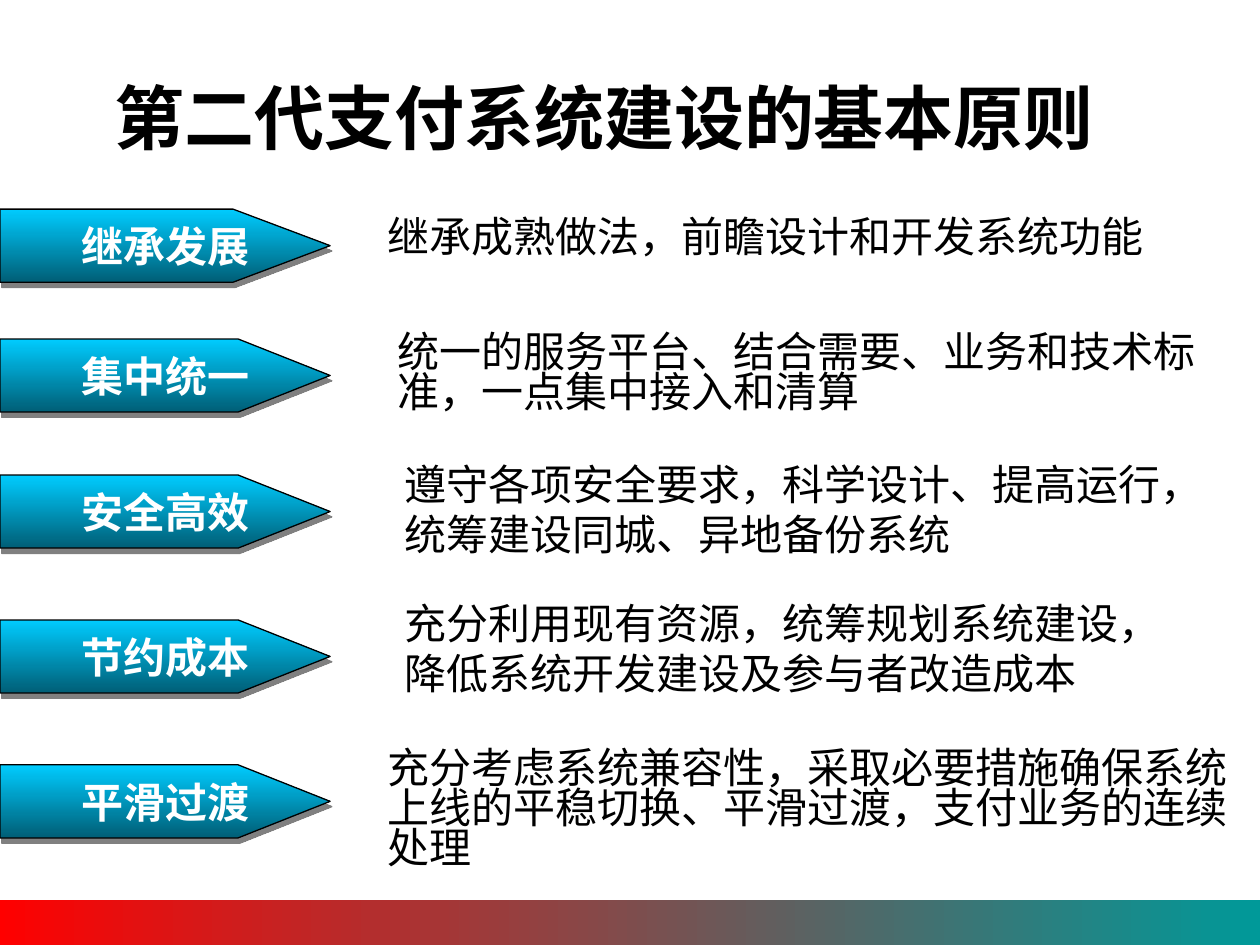
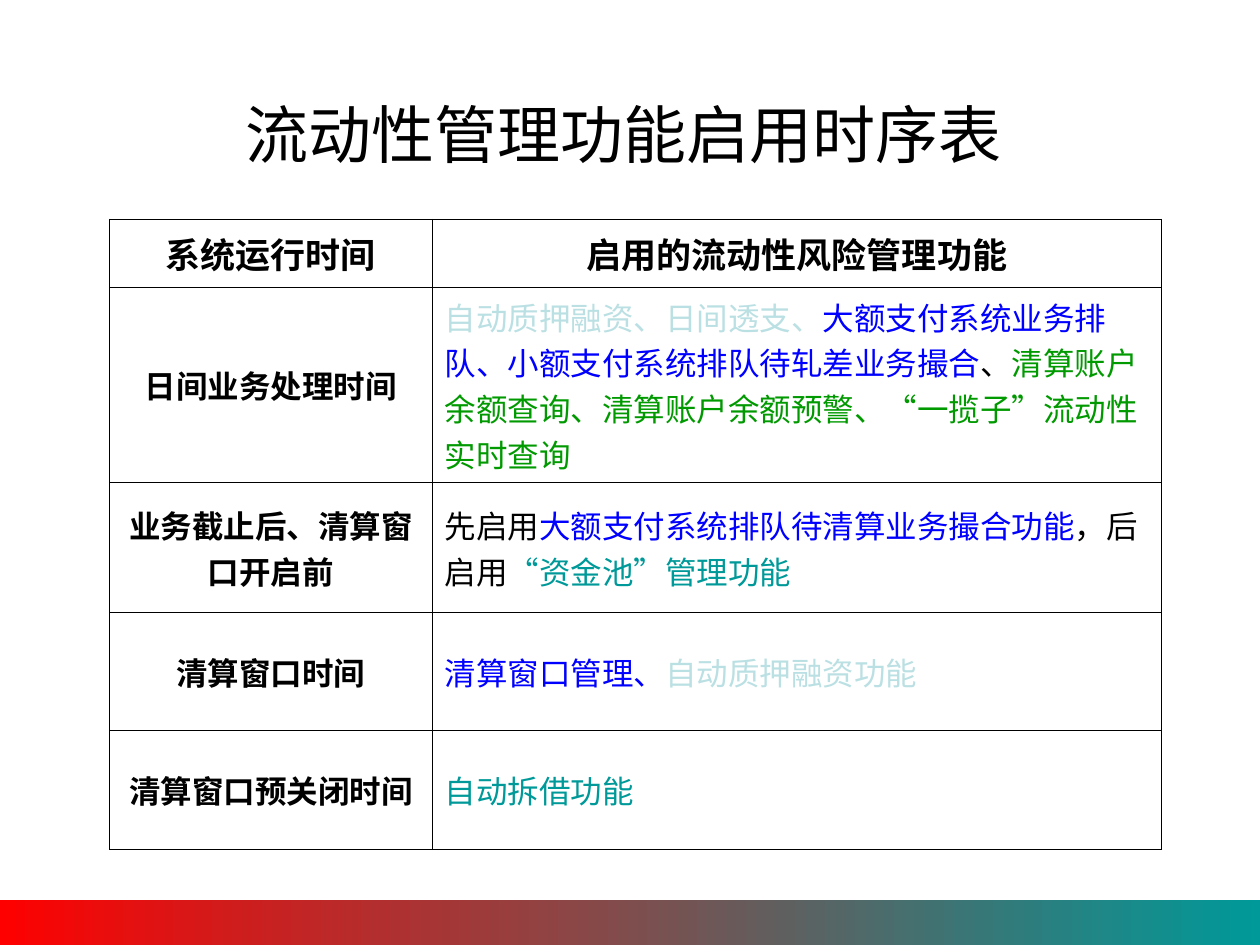
from dataclasses import dataclass

from lxml.etree import SubElement
from pptx import Presentation
from pptx.dml.color import RGBColor
from pptx.enum.shapes import MSO_SHAPE
from pptx.enum.text import MSO_ANCHOR, MSO_AUTO_SIZE, PP_ALIGN
from pptx.oxml import parse_xml
from pptx.oxml.ns import nsdecls, qn
from pptx.util import Inches, Pt

BLACK = RGBColor(0x00, 0x00, 0x00)
WHITE = RGBColor(0xFF, 0xFF, 0xFF)
RED = RGBColor(0xFF, 0x00, 0x00)
TEAL = RGBColor(0x00, 0x99, 0x99)
SKY = RGBColor(0x00, 0xCC, 0xFF)
DEEP_SEA = RGBColor(0x00, 0x5E, 0x76)
PALE_BLUE = RGBColor(0xBB, 0xE0, 0xE3)
SHADOW_GRAY = RGBColor(0x80, 0x80, 0x80)
BLUE = RGBColor(0x00, 0x00, 0xFF)
GREEN = RGBColor(0x00, 0x99, 0x00)

SANS, CJK, SERIF = "Arial", "Noto Sans CJK SC", "Times New Roman"
ARROW_TIP, ARROW_HEIGHT = 2.62, 0.58
COLUMNS = [2.56, 5.79]
ROW_HEIGHTS = [0.54, 1.55, 1.03, 0.94, 0.94]


@dataclass(frozen=True)
class Style:
    """Character format of a run."""
    size: float
    latin: str = CJK
    east_asian: str = CJK
    bold: bool = False
    color: RGBColor = BLACK


@dataclass(frozen=True)
class Box:
    """Place of an element in inches."""
    left: float
    top: float
    width: float
    height: float

    def lengths(self) -> list:
        """Return the four lengths for a shape call."""
        return [Inches(v) for v in (self.left, self.top, self.width, self.height)]


@dataclass(frozen=True)
class Principle:
    """A labelled arrow and its explanation."""
    label: str
    arrow_top: float
    text: str
    box: Box
    spacing: dict
    shoulder: float = 1.89
    wrap: bool = True


BODY = Style(24, SERIF, SANS)
LABEL = Style(24, bold=True, color=WHITE)
HEADER = Style(20, bold=True)
PERIOD = Style(18, bold=True)

LOOSE = {"space_before": Pt(15)}
EVEN = {"space_before": Pt(6), "space_after": Pt(6)}
TIGHT = {**EVEN, "line_spacing": 0.8}

PRINCIPLES = [
    Principle("继承发展", 1.66, "继承成熟做法，前瞻设计和开发系统功能",
              Box(2.98, 1.62, 6.2, 0.5), LOOSE, 1.85, False),
    Principle("集中统一", 2.69, "统一的服务平台、结合需要、业务和技术标准，一点集中接入和清算",
              Box(3.06, 2.61, 6.81, 0.74), TIGHT),
    Principle("安全高效", 3.77, "遵守各项安全要求，科学设计、提高运行，统筹建设同城、异地备份系统",
              Box(3.11, 3.59, 6.69, 0.9), EVEN),
    Principle("节约成本", 4.92, "充分利用现有资源，统筹规划系统建设，降低系统开发建设及参与者改造成本",
              Box(3.11, 4.69, 6.46, 0.9), LOOSE),
    Principle("平滑过渡", 6.07,
              "充分考虑系统兼容性，采取必要措施确保系统上线的平稳切换、平滑过渡，支付业务的连续处理",
              Box(2.98, 5.91, 7.02, 1.06), TIGHT),
]

HEADINGS = ["系统运行时间", "启用的流动性风险管理功能"]
SCHEDULE = [
    ("日间业务处理时间", [
        ("自动质押融资、日间透支、", PALE_BLUE),
        ("大额支付系统业务排队、小额支付系统排队待轧差业务撮合", BLUE),
        ("、", BLACK),
        ("清算账户余额查询、清算账户余额预警、", GREEN),
        ("“", GREEN), ("一揽子", GREEN), ("”", GREEN),
        ("流动性实时查询", GREEN)]),
    ("业务截止后、清算窗口开启前", [
        ("先启用", BLACK),
        ("大额支付系统排队待清算业务撮合功能", BLUE),
        ("，后启用", BLACK),
        ("“", TEAL), ("资金池", TEAL), ("”", TEAL),
        ("管理功能", TEAL)]),
    ("清算窗口时间", [("清算窗口管理、", BLUE), ("自动质押融资功能", PALE_BLUE)]),
    ("清算窗口预关闭时间", [("自动拆借功能", TEAL)]),
]


def apply(target, values: dict) -> None:
    """Set every attribute named in values."""
    for name, value in values.items():
        setattr(target, name, value)


def add_run(p, text: str, style: Style) -> None:
    """Append a run in the given style."""
    r = p.add_run()
    r.text = text
    apply(r.font, {"size": Pt(style.size), "bold": style.bold, "name": style.latin})
    r.font.color.rgb = style.color
    rPr = r.font._element
    rPr.set("lang", "zh-CN")
    SubElement(rPr, qn("a:ea")).set("typeface", style.east_asian)


def fill_gradient(sp, start: RGBColor, end: RGBColor, angle: float) -> None:
    """Fill a shape with a two-colour linear gradient."""
    sp.fill.gradient()
    sp.fill.gradient_angle = angle
    for stop, color, position in zip(sp.fill.gradient_stops, (start, end), (0, 1)):
        stop.color.rgb = color
        stop.position = position


def add_text(s, box: Box, text: str, style: Style, frame: dict, paragraph: dict) -> None:
    """Add a text box holding one paragraph."""
    tf = s.shapes.add_textbox(*box.lengths()).text_frame
    apply(tf, {"word_wrap": True, **frame})
    p = tf.paragraphs[0]
    apply(p, paragraph)
    add_run(p, text, style)


def add_base(prs, title: str, box: Box, style: Style):
    """Add a blank slide with the footer band and a title."""
    s = prs.slides.add_slide(prs.slide_layouts[6])
    band = s.shapes.add_shape(MSO_SHAPE.RECTANGLE, *Box(-0.04, 7.14, 10.04, 0.44).lengths())
    band.shadow.inherit = False
    band.line.fill.background()
    fill_gradient(band, RED, TEAL, 0)
    add_text(s, box, title, style, {"vertical_anchor": MSO_ANCHOR.MIDDLE},
             {"alignment": PP_ALIGN.CENTER})
    return s


def add_arrow(s, item: Principle) -> None:
    """Draw the labelled arrow of a principle."""
    top, bottom = item.arrow_top, item.arrow_top + ARROW_HEIGHT
    outline = [(item.shoulder, top), (ARROW_TIP, (top + bottom) / 2),
               (item.shoulder, bottom), (0, bottom)]
    builder = s.shapes.build_freeform(0, Inches(top))
    builder.add_line_segments([(Inches(x), Inches(y)) for x, y in outline], close=True)
    sp = builder.convert_to_shape()
    fill_gradient(sp, SKY, DEEP_SEA, 270)
    sp.line.color.rgb = BLACK
    sp.line.width = Pt(0.75)
    sp.shadow.inherit = False
    effects = sp._element.spPr.find(qn("a:effectLst"))
    effects.append(parse_xml(
        f'<a:outerShdw {nsdecls("a")} dist="{Pt(3.2)}" dir="{72 * 60000}" algn="ctr" '
        f'rotWithShape="0"><a:srgbClr val="{SHADOW_GRAY}"/></a:outerShdw>'))
    tf = sp.text_frame
    apply(tf, {"word_wrap": False, "vertical_anchor": MSO_ANCHOR.MIDDLE})
    p = tf.paragraphs[0]
    p.alignment = PP_ALIGN.CENTER
    add_run(p, item.label, LABEL)


def format_cell(cell) -> None:
    """Clear the fill of a cell and draw its thin borders."""
    apply(cell, {"vertical_anchor": MSO_ANCHOR.MIDDLE,
                 "margin_left": Inches(0.1), "margin_right": Inches(0.1),
                 "margin_top": Inches(0.05), "margin_bottom": Inches(0.05)})
    cell.fill.background()
    tcPr = cell._tc.get_or_add_tcPr()
    for index, side in enumerate("LRTB"):
        tcPr.insert(index, parse_xml(
            f'<a:ln{side} {nsdecls("a")} w="{Pt(0.45)}"><a:solidFill>'
            f'<a:srgbClr val="{BLACK}"/></a:solidFill></a:ln{side}>'))


def add_schedule(s) -> None:
    """Add the table of periods and enabled functions."""
    box = Box(0.87, 1.74, sum(COLUMNS), sum(ROW_HEIGHTS))
    table = s.shapes.add_table(len(ROW_HEIGHTS), len(COLUMNS), *box.lengths()).table
    apply(table, {"first_row": False, "horz_banding": False})
    for column, width in zip(table.columns, COLUMNS):
        column.width = Inches(width)
    for row, height in zip(table.rows, ROW_HEIGHTS):
        row.height = Inches(height)
    for cell in table.iter_cells():
        format_cell(cell)

    def add_centred(row: int, col: int, text: str, style: Style) -> None:
        """Write a centred bold entry."""
        p = table.cell(row, col).text_frame.paragraphs[0]
        p.alignment = PP_ALIGN.CENTER
        add_run(p, text, style)

    for col, heading in enumerate(HEADINGS):
        add_centred(0, col, heading, HEADER)
    for row, (period, functions) in enumerate(SCHEDULE, start=1):
        add_centred(row, 0, period, PERIOD)
        p = table.cell(row, 1).text_frame.paragraphs[0]
        p._p.get_or_add_pPr().set("hangingPunct", "0")
        for text, color in functions:
            latin = SANS if text in "“”" else CJK
            add_run(p, text, Style(18, latin, color=color))


def main() -> None:
    """Build and save the two slides."""
    prs = Presentation()
    apply(prs, {"slide_width": Inches(10), "slide_height": Inches(7.5)})

    s = add_base(prs, "第二代支付系统建设的基本原则", Box(0.5, 0.3, 8.59, 1.25),
                 Style(40, SANS, SANS, bold=True))
    for item in PRINCIPLES:
        add_arrow(s, item)
        add_text(s, item.box, item.text, BODY,
                 {"word_wrap": item.wrap, "auto_size": MSO_AUTO_SIZE.SHAPE_TO_FIT_TEXT},
                 item.spacing)

    s = add_base(prs, "流动性管理功能启用时序表 ", Box(0.52, 0.53, 9, 1.05),
                 Style(36, SANS, SANS))
    add_schedule(s)
    prs.save("out.pptx")


if __name__ == "__main__":
    main()
